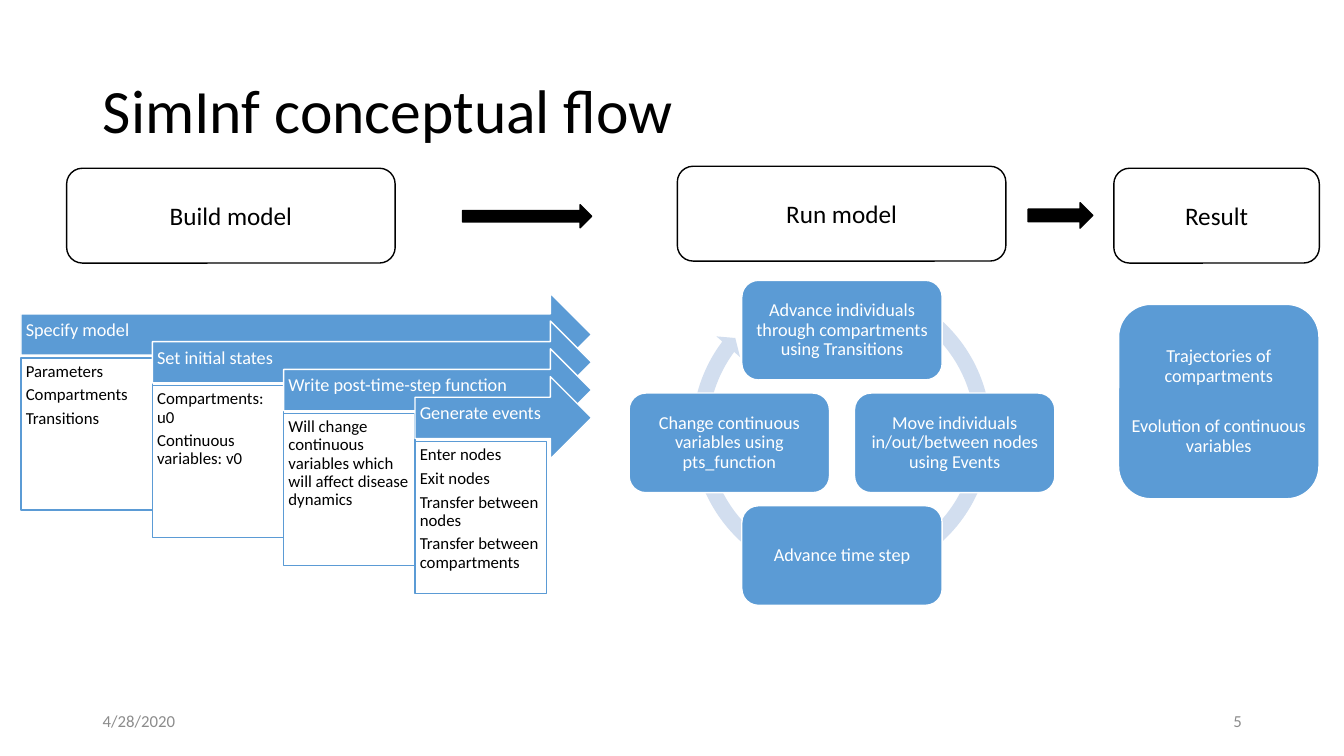
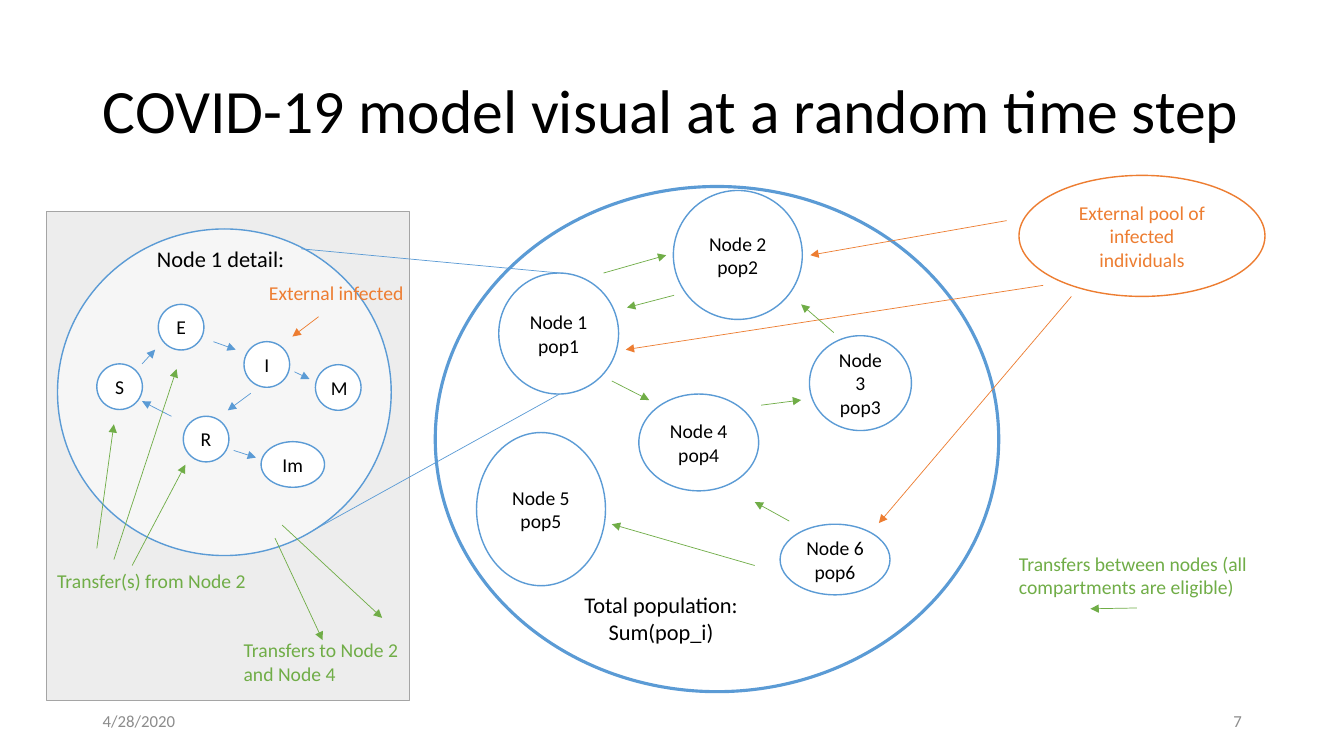
from lxml.etree import SubElement
from pptx import Presentation
from pptx.dml.color import RGBColor
from pptx.enum.shapes import MSO_CONNECTOR, MSO_SHAPE
from pptx.enum.text import MSO_ANCHOR, MSO_AUTO_SIZE, PP_ALIGN
from pptx.oxml.ns import qn
from pptx.util import Cm, Pt

BLACK, WHITE, GREY = "000000", "FFFFFF", "8C8C8C"
BLUE, PALE_BLUE, ORANGE, GREEN = "5B9BD5", "D2DEEF", "ED7D31", "70AD47"
PANEL_FILL, PANEL_LINE = "EDEDED", "A5A5A5"


def colour(code):
    """Turn a hex string into a colour."""
    return RGBColor.from_string(code)


class Deck:
    """Hold the shared style and the current slide; lengths are in centimetres."""

    font = "Calibri"
    date = "4/28/2020"

    def __init__(self):
        """Start a widescreen presentation."""
        self.presentation = Presentation()
        self.presentation.slide_width = Cm(33.87)
        self.presentation.slide_height = Cm(19.05)
        self.slide = None

    def add_slide(self, title, number):
        """Add a slide with its title, date and number."""
        layout = self.presentation.slide_layouts[5]
        self.slide = self.presentation.slides.add_slide(layout)
        shape = self.slide.shapes.title
        shape.left, shape.top = Cm(2.34), Cm(1.02)
        shape.width, shape.height = Cm(29.3), Cm(3.68)
        self.set_text(shape, title, 44, BLACK, PP_ALIGN.LEFT, spacing=0.9)
        shape.text_frame.auto_size = MSO_AUTO_SIZE.NONE
        for left, text, align in ((2.34, self.date, PP_ALIGN.LEFT),
                                  (23.93, number, PP_ALIGN.RIGHT)):
            footer = self.slide.shapes.add_textbox(Cm(left), Cm(17.65), Cm(7.62), Cm(1.02))
            self.set_text(footer, text, 12, GREY, align)

    def set_text(self, shape, text, size, ink, align=PP_ALIGN.CENTER, anchor=MSO_ANCHOR.MIDDLE,
                 insets=(0.25, 0.13, 0.25, 0.13), spacing=None, gap=0, wrap=True):
        """Fill a shape with text, one paragraph per line."""
        frame = shape.text_frame
        frame.text = text
        frame.word_wrap = wrap
        frame.vertical_anchor = anchor
        (frame.margin_left, frame.margin_top,
         frame.margin_right, frame.margin_bottom) = map(Cm, insets)
        for paragraph in frame.paragraphs:
            paragraph.alignment = align
            paragraph.line_spacing = spacing
            paragraph.space_after = Pt(gap)
            for run in paragraph.runs:
                run.font.name = self.font
                run.font.size = Pt(size)
                run.font.color.rgb = colour(ink)
        frame.paragraphs[-1].space_after = Pt(0)

    def shape(self, kind, box, fill=WHITE, line=BLUE, weight=1, opacity=None):
        """Add a preset shape; a fill or line of None leaves it out."""
        shape = self.slide.shapes.add_shape(kind, *map(Cm, box))
        shape.shadow.inherit = False
        if fill:
            shape.fill.solid()
            shape.fill.fore_color.rgb = colour(fill)
        else:
            shape.fill.background()
        if line:
            shape.line.color.rgb = colour(line)
            shape.line.width = Pt(weight)
        else:
            shape.line.fill.background()
        if opacity is not None:
            tint = shape.element.spPr.find(f"{qn('a:solidFill')}/{qn('a:srgbClr')}")
            SubElement(tint, qn("a:alpha"), val=str(opacity * 1000))
        return shape

    def card(self, box, text, kind=MSO_SHAPE.ROUNDED_RECTANGLE, fill=BLUE, line=WHITE,
             size=13, ink=WHITE, insets=(0.12,) * 4, gap=4.5, **layout):
        """Add a shape with tightly set text."""
        shape = self.shape(kind, box, fill, line)
        self.set_text(shape, text, size, ink, insets=insets, spacing=0.9, gap=gap, **layout)

    def ellipse(self, box, text, tone=BLUE, ink=BLACK, inset=0.22):
        """Add an outlined ellipse with a name in it."""
        shape = self.shape(MSO_SHAPE.OVAL, box, line=tone)
        self.set_text(shape, text, 14, ink, insets=(inset, 0.13, inset, 0.13))

    def label(self, box, text, ink, size=14, align=PP_ALIGN.LEFT, wrap=False):
        """Add free text."""
        shape = self.slide.shapes.add_textbox(*map(Cm, box))
        self.set_text(shape, text, size, ink, align, MSO_ANCHOR.TOP, wrap=wrap)
        shape.text_frame.auto_size = MSO_AUTO_SIZE.SHAPE_TO_FIT_TEXT

    def connector(self, ends, tone, arrow=True):
        """Add a thin straight line, with an arrowhead at its end if wanted."""
        connector = self.slide.shapes.add_connector(MSO_CONNECTOR.STRAIGHT, *map(Cm, ends))
        connector.line.color.rgb = colour(tone)
        connector.line.width = Pt(0.5)
        properties = connector.element.spPr
        if arrow:
            SubElement(properties.find(qn("a:ln")), qn("a:tailEnd"), type="triangle")
        SubElement(properties, qn("a:effectLst"))


def build_flow(deck):
    """Build the slide with the conceptual flow."""
    deck.add_slide("SimInf conceptual flow", "5")

    ring = deck.shape(MSO_SHAPE.CIRCULAR_ARROW, (17.25, 6.91, 7.92, 7.92), PALE_BLUE, None)
    for index, value in enumerate((0.05, 2.73, 130.04, 179.15, 0.05)):
        ring.adjustments[index] = value
    width, height, radius = 5.05, 2.51, 2.84
    for across, down, text in (
        (0, -1, "Advance individuals through compartments using Transitions"),
        (1, 0, "Move individuals in/out/between nodes using Events"),
        (0, 1, "Advance time step"),
        (-1, 0, "Change continuous variables using pts_function"),
    ):
        left = 21.22 + across * radius - width / 2
        top = 11.16 + down * radius - height / 2
        deck.card((left, top, width, height), text)

    steps = (
        ("Specify model", "Parameters\nCompartments\nTransitions"),
        ("Set initial states", "Compartments: u0\nContinuous variables: v0"),
        ("Write post-time-step function",
         "Will change continuous variables which will affect disease dynamics"),
        ("Generate events",
         "Enter nodes\nExit nodes\nTransfer between nodes\nTransfer between compartments"),
    )
    for index, (heading, details) in enumerate(steps):
        left, drop = 0.53 + 3.31 * index, 0.7 * index
        deck.card((left, 7.39 + drop, 14.91 - left, 2.08), heading, MSO_SHAPE.RIGHT_ARROW,
                  insets=(0.12, 0.12, 0.25, 0.33), align=PP_ALIGN.LEFT)
        deck.card((left, 9.02 + drop, 3.31, 3.83), details, MSO_SHAPE.RECTANGLE, WHITE, BLUE,
                  12, BLACK, gap=4, align=PP_ALIGN.LEFT, anchor=MSO_ANCHOR.TOP)

    for left, top, width, text in ((1.68, 4.24, 8.28, "Build model"),
                                   (17.07, 4.19, 8.28, "Run model"),
                                   (28.07, 4.24, 5.18, "Result")):
        stage = deck.shape(MSO_SHAPE.ROUNDED_RECTANGLE, (left, top, width, 2.39), line=BLACK)
        deck.set_text(stage, text, 18, BLACK)
    deck.card((28.19, 7.67, 5.05, 4.9),
              "Trajectories of compartments\nEvolution of continuous variables",
              insets=(0, 0.12, 0, 0.12), gap=22)
    for box in ((11.66, 5.16, 3.25, 0.58), (25.91, 5.11, 1.63, 0.64)):
        deck.shape(MSO_SHAPE.RIGHT_ARROW, box, BLACK, BLACK)


def build_model(deck):
    """Build the slide with the node network and the detail of one node."""
    deck.add_slide("COVID-19 model visual at a random time step", "7")
    deck.shape(MSO_SHAPE.RECTANGLE, (1.17, 5.33, 9.14, 12.32), PANEL_FILL, PANEL_LINE, 0.5)

    for box, text in (
        ((12.57, 6.88, 3.02, 3.05), "Node 1\npop1"),
        ((16.97, 4.8, 3.25, 3.25), "Node 2\npop2"),
        ((20.4, 8.46, 2.57, 2.39), "Node 3\npop3"),
        ((16.1, 9.93, 3.02, 2.44), "Node 4 pop4"),
        ((12.01, 10.9, 3.25, 3.86), "Node 5\npop5"),
        ((19.66, 13.21, 2.77, 1.78), "Node 6 pop6"),
    ):
        deck.ellipse(box, text)
    deck.shape(MSO_SHAPE.OVAL, (10.97, 4.7, 14.2, 12.73), None, BLUE, 2.25)
    deck.ellipse((25.68, 4.42, 6.2, 3.05), "External pool of infected individuals",
                 ORANGE, ORANGE, 0.35)

    deck.shape(MSO_SHAPE.OVAL, (1.45, 5.77, 8.41, 8.23), opacity=50)
    for ends in ((14.1, 6.88, 7.59, 6.27), (14.1, 9.93, 7.9, 13.36)):
        deck.connector(ends, BLUE, arrow=False)
    for left, top, width, text in (
        (2.44, 9.17, 1.15, "S"), (3.99, 7.67, 1.15, "E"), (6.15, 8.61, 1.15, "I"),
        (4.62, 10.49, 1.15, "R"), (7.95, 9.19, 1.15, "M"), (6.58, 11.13, 1.6, "Im"),
    ):
        deck.ellipse((left, top, width, 1.15), text)

    arrows = {
        ORANGE: (
            (25.37, 5.56, 20.42, 6.43), (26.29, 7.19, 15.77, 8.81),
            (27, 7.47, 22.15, 13.18), (8.03, 7.98, 7.37, 8.48),
        ),
        BLUE: (
            (3.58, 9.17, 3.91, 8.81), (5.38, 8.61, 5.94, 8.81), (7.42, 9.37, 7.8, 9.55),
            (4.32, 10.49, 3.58, 10.11), (6.32, 9.91, 5.74, 10.34), (5.89, 11.35, 6.45, 11.53),
        ),
        GREEN: (
            (15.21, 6.88, 16.79, 6.43), (16.99, 7.44, 15.8, 7.75), (15.42, 9.6, 16.36, 10.08),
            (19.18, 10.21, 20.19, 10.08), (19.89, 13.13, 19.02, 12.65),
            (21.01, 8.38, 20.19, 7.67), (19.02, 14.25, 15.42, 13.21),
            (2.44, 13.82, 2.87, 10.69), (3.33, 14.25, 4.67, 11.71), (2.87, 14.1, 4.45, 9.3),
            (7.11, 13.23, 9.63, 15.57), (6.93, 13.56, 8.13, 16.13),
            (28.65, 15.32, 27.48, 15.34),
        ),
    }
    for tone, group in arrows.items():
        for ends in group:
            deck.connector(ends, tone)

    deck.label((14.45, 14.76, 4.42, 1.63), "Total population:\nSum(pop_i)", BLACK, 16,
               PP_ALIGN.CENTER)
    deck.label((3.68, 6.05, 3.76, 0.94), "Node 1 detail:", BLACK, 16, PP_ALIGN.CENTER)
    deck.label((6.53, 6.96, 3.94, 0.86), "External infected", ORANGE)
    deck.label((1.19, 14.2, 5.31, 0.86), "Transfer(s) from Node 2", GREEN)
    deck.label((5.89, 15.95, 4.6, 1.45), "Transfers to Node 2 and Node 4", GREEN, wrap=True)
    deck.label((25.43, 13.77, 6.65, 1.45),
               "Transfers between nodes (all compartments are eligible)", GREEN, wrap=True)


def main():
    """Build and save the presentation."""
    deck = Deck()
    build_flow(deck)
    build_model(deck)
    deck.presentation.save("out.pptx")


if __name__ == "__main__":
    main()
